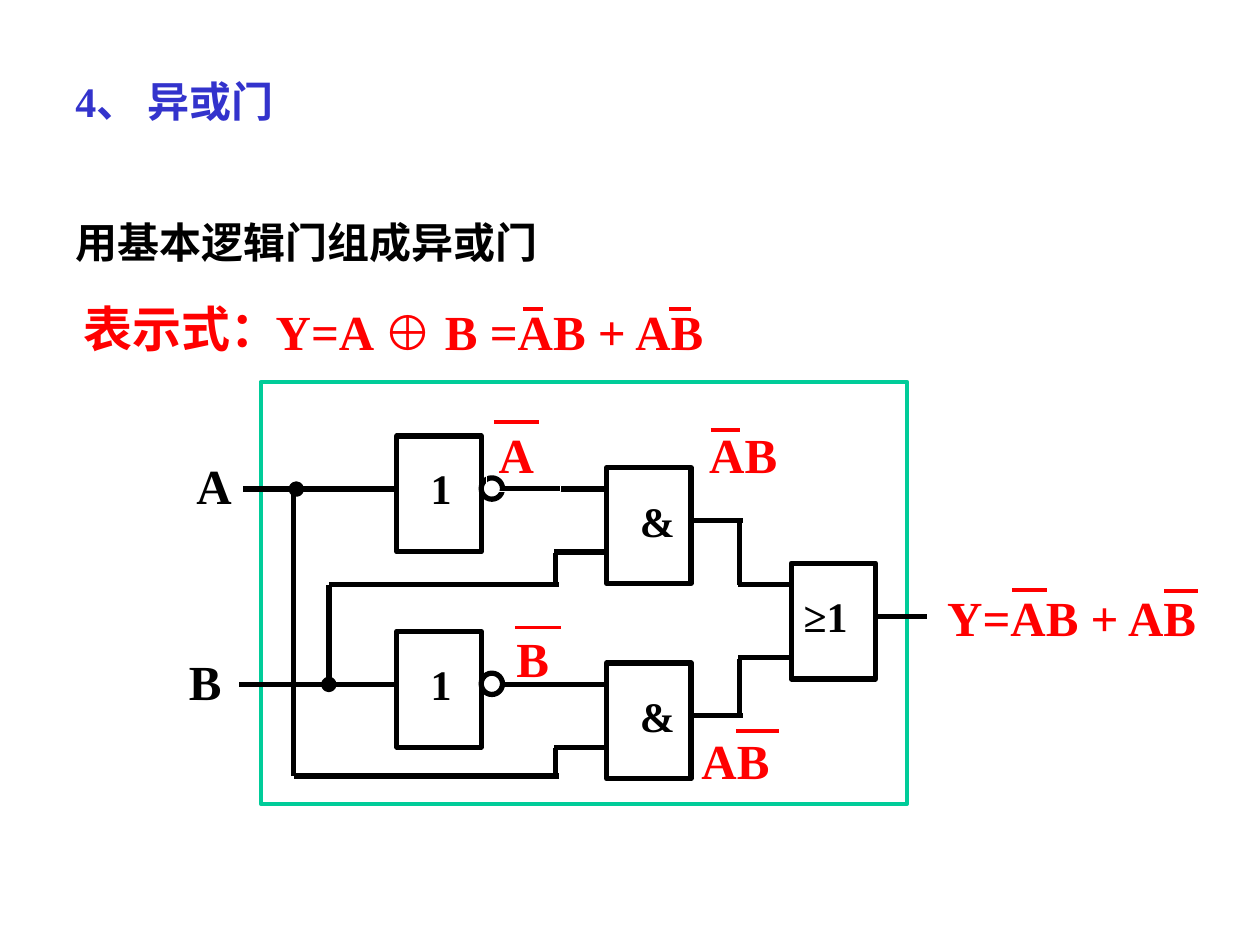
import pptx
import pptx.util
import pptx.dml.color
import pptx.enum.shapes
import pptx.enum.text
import pptx.oxml

Pt = pptx.util.Pt
Shape = pptx.enum.shapes.MSO_SHAPE
COLORS = {"black": "000000", "white": "FFFFFF", "red": "FF0000", "blue": "3333CC", "green": "00CC99"}
RGB = {name: pptx.dml.color.RGBColor.from_string(code) for name, code in COLORS.items()}

deck = pptx.Presentation()
deck.slide_width, deck.slide_height = Pt(720), Pt(540)
page = deck.slides.add_slide(deck.slide_layouts[6])


def add_text(text, left, top, width, height, size=24, color="black", wrap=True, centered=False, border=None):
    box = page.shapes.add_textbox(Pt(left), Pt(top), Pt(width), Pt(height))
    if border:
        box.line.color.rgb = RGB[border]
        box.line.width = Pt(0.75)
    frame = box.text_frame
    frame.word_wrap = wrap
    para = frame.paragraphs[0]
    if centered:
        frame.vertical_anchor = pptx.enum.text.MSO_ANCHOR.MIDDLE
        para.alignment = pptx.enum.text.PP_ALIGN.CENTER
    span = para.add_run()
    span.text = text
    span.font.name = "Times New Roman"
    span.font.size = Pt(size)
    span.font.bold = True
    span.font.color.rgb = RGB[color]


def add_lines(segments, color, weight):
    for x1, y1, x2, y2 in segments:
        line = page.shapes.add_connector(
            pptx.enum.shapes.MSO_CONNECTOR.STRAIGHT, Pt(x1), Pt(y1), Pt(x2), Pt(y2))
        line.line.color.rgb = RGB[color]
        line.line.width = Pt(weight)
        line._element.spPr.append(pptx.oxml.parse_xml(
            '<a:effectLst xmlns:a="http://schemas.openxmlformats.org/drawingml/2006/main"/>'))


row_tops = [249.2, 360.8]
gate_width, gate_height = 48.2, 66.2
not_left, and_left, or_left, or_top = 226.8, 346.7, 452.2, 321.8
bubble = 12.2

outlines = [(Shape.RECTANGLE, 149, 218.2, 369.4, 241.2, "white", "green", 2.25)]
wires = [
    (139, 279.4, not_left, 279.4), (136.8, 391, not_left, 391),
    (188, 391, 188, 334.1), (188, 334.1, 319.7, 334.1), (317.5, 316, 317.5, 334.1),
    (167.8, 279.4, 167.8, 443.5), (167.8, 443.5, 319.7, 443.5), (317.5, 427.7, 317.5, 443.5),
    (422.6, 297.4, 422.6, 334.1), (422.6, 376.6, 422.6, 409),
    (422, 334.1, or_left, 334.1), (422, 375.8, or_left, 375.8),
    (500.4, 352.1, 530, 352.1),
]
for top in row_tops:
    wire = top + 30.2
    outlines += [
        (Shape.RECTANGLE, not_left, top, gate_width, gate_height, "white", "black", 3),
        (Shape.OVAL, not_left + gate_width, wire - 6.3, bubble, bubble, "white", "black", 3),
        (Shape.RECTANGLE, and_left, top + 18, gate_width, gate_height, "white", "black", 3),
    ]
    wires += [
        (287.2, wire, and_left, wire),
        (316.8, wire + 36, and_left, wire + 36),
        (394.8, wire + 18, 424.8, wire + 18),
    ]
outlines += [
    (Shape.RECTANGLE, or_left, or_top, gate_width, gate_height, "white", "black", 3),
    (Shape.OVAL, 185, 388.2, 5.8, 5.8, "black", "black", 3),
    (Shape.OVAL, 166.4, 276.6, 5.8, 5.8, "black", "black", 3),
]
for kind, left, top, width, height, fill, edge, weight in outlines:
    shape = page.shapes.add_shape(kind, Pt(left), Pt(top), Pt(width), Pt(height))
    shape.shadow.inherit = False
    shape.fill.solid()
    shape.fill.fore_color.rgb = RGB[fill]
    shape.line.color.rgb = RGB[edge]
    shape.line.width = Pt(weight)
add_lines(wires, "black", 3)

for top in row_tops:
    add_text("1", 239, top + 11.8, 24, 36)
    add_text("&", 358.6, top + 30.2, 48, 36)
add_text("≥1", 452.2, 334.1, 66, 36)
add_text("A", 105.1, 257, 42.5, 41, size=28)
add_text("B", 100.8, 368.6, 44.6, 41, size=28)

add_text("Y=A ⊕ B =AB + AB", 150.5, 168.5, 292.3, 41.8, size=28, color="red", border="white")
add_text("表示式:".replace(":", "："), 40.3, 167, 126.7, 41, size=28, color="red", wrap=False, centered=True)
add_text("A", 277.9, 239, 42.5, 41.8, size=28, color="red", border="white")
add_text("B", 288, 355.7, 44.6, 41, size=28, color="red")
add_text("AB", 398.2, 239, 77, 41, size=28, color="red")
add_text("AB", 393.8, 414, 54.7, 41, size=28, color="red")
add_text("Y=AB + AB", 534.2, 331.9, 164.2, 41.8, size=28, color="red", border="white")
overbars = [
    (298.8, 310.3, 176.4), (382.3, 394.6, 176.4), (282.2, 308.2, 241.2), (294.5, 320.4, 358.6),
    (406.1, 422.6, 245.5), (420.5, 445, 417.6), (578.2, 598.3, 337), (665.3, 684.7, 337.7),
]
add_lines([(start, y, end, y) for start, end, y in overbars], "red", 2.25)

add_text("4、 异或门", 36, 39.6, 174.2, 36, color="blue")
add_text("用基本逻辑门组成异或门", 36, 120.2, 280, 36, wrap=False)

deck.save("out.pptx")
